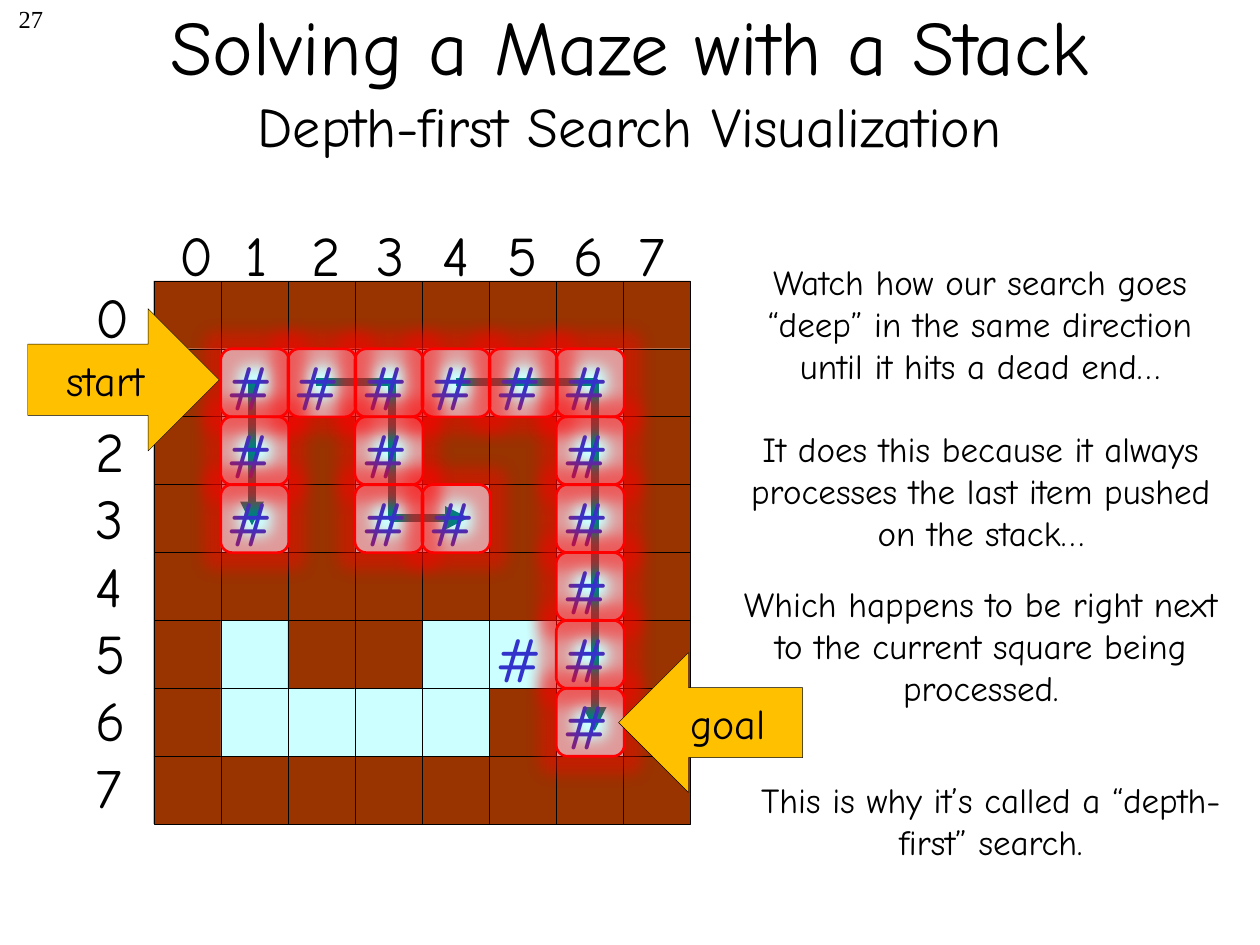
import dataclasses

import lxml.etree
import pptx
import pptx.dml.color
import pptx.enum.shapes
import pptx.enum.text
import pptx.oxml.ns
import pptx.util

Inches = pptx.util.Inches
Pt = pptx.util.Pt
RGB = pptx.dml.color.RGBColor.from_string
qn = pptx.oxml.ns.qn
Shape = pptx.enum.shapes.MSO_SHAPE
Connector = pptx.enum.shapes.MSO_CONNECTOR
Align = pptx.enum.text.PP_ALIGN
Anchor = pptx.enum.text.MSO_ANCHOR


@dataclasses.dataclass(frozen=True)
class Theme:
    font: str = "Comic Neue"
    number_font: str = "Times New Roman"
    ink: str = "000000"
    wall: str = "993300"
    floor: str = "CCFFFF"
    route: str = "008080"
    mark: str = "3333CC"
    visited: str = "FF0000"
    signpost: str = "FFC000"
    title_size: int = 44
    heading_size: int = 32
    mark_size: int = 36
    sign_size: int = 24
    note_size: int = 20
    number_size: int = 14


theme = Theme()


def write(frame, text, size, color=theme.ink, font=theme.font,
          align=Align.LEFT, anchor=Anchor.TOP, wrap=False):
    """Fill a text frame; newlines start paragraphs, vertical tabs break lines."""
    frame.text = text
    frame.word_wrap = wrap
    frame.vertical_anchor = anchor
    for paragraph in frame.paragraphs:
        paragraph.alignment = align
        for run in paragraph.runs:
            run.font.size = Pt(size)
            run.font.name = font
            run.font.color.rgb = RGB(color)


def add_box(kind, left, top, width, height, fill, line, line_width):
    box = slide.shapes.add_shape(
        kind, Inches(left), Inches(top), Inches(width), Inches(height))
    if fill:
        box.fill.solid()
        box.fill.fore_color.rgb = RGB(fill)
    else:
        box.fill.background()
    box.line.color.rgb = RGB(line)
    box.line.width = Pt(line_width)
    box.shadow.inherit = False
    return box


deck = pptx.Presentation()
deck.slide_width, deck.slide_height = Inches(10), Inches(7.5)
slide = deck.slides.add_slide(deck.slide_layouts[5])

# Title and slide number
title = slide.shapes.title
title.left, title.top = Inches(0.75), Inches(0)
title.width, title.height = Inches(8.5), Inches(1.25)
write(title.text_frame, "Solving a Maze with a Stack\vDepth-first Search Visualization",
      theme.title_size, align=Align.CENTER, anchor=Anchor.MIDDLE, wrap=True)
title.text_frame.auto_size = pptx.enum.text.MSO_AUTO_SIZE.NONE
title.text_frame.paragraphs[0].runs[1].font.size = Pt(theme.heading_size)

number = slide.shapes.add_textbox(Inches(0), Inches(-0.02), Inches(0.44), Inches(0.5))
write(number.text_frame, "27", theme.number_size, font=theme.number_font,
      align=Align.RIGHT, wrap=True)

# Maze: # is a wall, . is open floor
maze = [
    "########",
    "#......#",
    "#.#.##.#",
    "#.#..#.#",
    "######.#",
    "#.##...#",
    "#....#.#",
    "########",
]
maze_left, maze_top = 1.22, 2.23
cell_width, cell_height = 4.26 / 8, 4.31 / 8
for row, squares in enumerate(maze):
    for column, square in enumerate(squares):
        add_box(Shape.RECTANGLE, maze_left + column * cell_width,
                maze_top + row * cell_height, cell_width, cell_height,
                theme.wall if square == "#" else theme.floor, theme.ink, 0.25)

# Row and column numbers
row_numbers = slide.shapes.add_textbox(
    Inches(0.66), Inches(2.19), Inches(0.48), Inches(4.41))
write(row_numbers.text_frame, "\n".join("01234567"), theme.heading_size)

column_numbers = slide.shapes.add_textbox(
    Inches(1.33), Inches(1.7), Inches(4.21), Inches(0.64))
write(column_numbers.text_frame, "\t".join("01234567"), theme.heading_size, wrap=True)
properties = column_numbers.text_frame.paragraphs[0]._p.get_or_add_pPr()
tabs = lxml.etree.SubElement(properties, qn("a:tabLst"))
for column in range(1, 8):
    lxml.etree.SubElement(tabs, qn("a:tab"), pos=str(Inches(0.52 * column)), algn="l")

# Routes the search takes
routes = [
    ("line", 2, 3.02, 2, 4.17),
    ("bentConnector3", 2.51, 3.03, 3.72, 4.11),
    ("bentConnector2", 3.62, 3.03, 4.72, 5.8),
]
for bend, *ends in routes:
    kind = Connector.STRAIGHT if bend == "line" else Connector.ELBOW
    route = slide.shapes.add_connector(kind, *map(Inches, ends))
    route.line.color.rgb = RGB(theme.route)
    route.line.width = Pt(4.5)
    outline = route.line._get_or_add_ln()
    lxml.etree.SubElement(outline, qn("a:tailEnd"), type="triangle")
    route_properties = route._element.spPr
    route_properties.find(qn("a:prstGeom")).set("prst", bend)
    lxml.etree.SubElement(route_properties, qn("a:effectLst"))

# Marked squares as (row, column); every one but the last is visited and glows
visited = [(1, 1), (2, 1), (3, 1), (1, 2), (1, 3), (2, 3), (3, 3), (3, 4),
           (1, 4), (1, 5), (1, 6), (2, 6), (3, 6), (4, 6), (5, 6), (6, 6)]
for row, column in visited + [(5, 5)]:
    left = maze_left + column * cell_width
    top = maze_top + row * cell_height
    mark = slide.shapes.add_textbox(
        Inches(left - 0.05), Inches(top - 0.06), Inches(0.63), Inches(0.71))
    write(mark.text_frame, "#", theme.mark_size, theme.mark)
    if (row, column) in visited:
        halo = add_box(Shape.ROUNDED_RECTANGLE, left, top, 0.54, 0.54,
                       None, theme.visited, 1.5)
        effects = halo._element.spPr.find(qn("a:effectLst"))
        glow = lxml.etree.SubElement(effects, qn("a:glow"), rad=str(Pt(18)))
        glow_color = lxml.etree.SubElement(glow, qn("a:srgbClr"), val=theme.visited)
        lxml.etree.SubElement(glow_color, qn("a:alpha"), val="40000")

# Start and goal signposts
for kind, label, *place in [
    (Shape.RIGHT_ARROW, "start", 0.22, 2.45, 1.52, 1.13),
    (Shape.LEFT_ARROW, "goal", 4.91, 5.18, 1.46, 1.11),
]:
    signpost = add_box(kind, *place, theme.signpost, theme.ink, 0.25)
    write(signpost.text_frame, label, theme.sign_size,
          align=Align.CENTER, anchor=Anchor.MIDDLE)

# Explanation
for text, left, top, width, height in [
    ("Watch how our search goes “deep” in the same direction until it hits a dead end…",
     5.81, 2.02, 3.94, 1.11),
    ("It does this because it always processes the last item pushed on the stack…",
     5.73, 3.34, 4.11, 1.11),
    ("Which happens to be right next to the current square being processed.",
     5.73, 4.57, 4.11, 1.11),
    ("This is why it’s called a “depth-first” search.", 5.81, 6.13, 4.11, 0.77),
]:
    note = slide.shapes.add_textbox(
        Inches(left), Inches(top), Inches(width), Inches(height))
    write(note.text_frame, text, theme.note_size, align=Align.CENTER, wrap=True)

deck.save("out.pptx")
